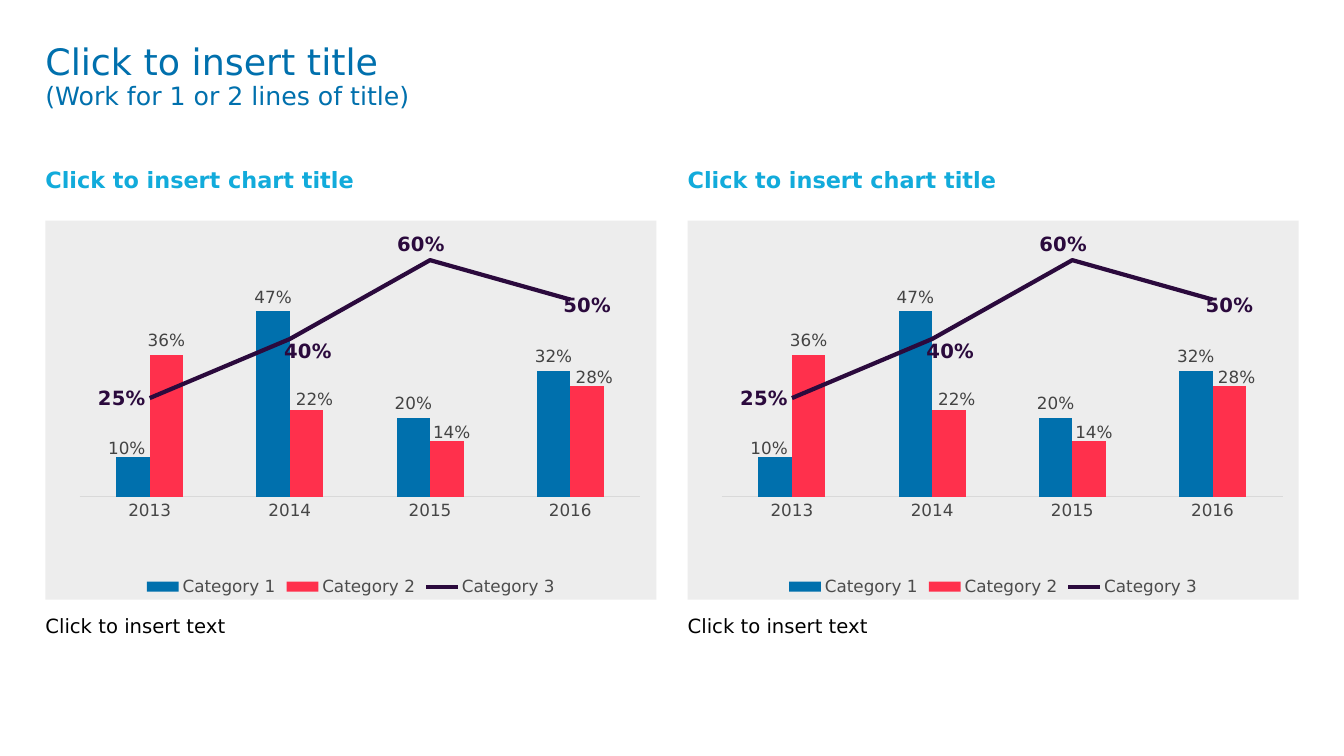
from dataclasses import dataclass

from lxml import etree
from pptx import Presentation
from pptx import util as u
from pptx.chart.data import CategoryChartData
from pptx.dml.color import RGBColor
from pptx.enum import chart as charts, shapes, text
from pptx.oxml import parse_xml
from pptx.oxml.ns import nsdecls, qn

# Content
TITLE = "Click to insert title"
SUBTITLE = "(Work for 1 or 2 lines of title)"
PANELS = [
    {"heading": "Click to insert chart title", "note": "Click to insert text"},
    {"heading": "Click to insert chart title", "note": "Click to insert text"},
]
YEARS = ["2013", "2014", "2015", "2016"]
SERIES = {
    "Category 1": (0.10, 0.47, 0.20, 0.32),
    "Category 2": (0.36, 0.22, 0.14, 0.28),
    "Category 3": (0.25, 0.40, 0.60, 0.50),
}
# Label placement: point -> (position, shift right, shift down) as shares of the chart
POSITION = charts.XL_LABEL_POSITION
OUTSIDE = POSITION.OUTSIDE_END
LABEL_SHIFTS = {
    "Category 1": {0: (OUTSIDE, -0.01, 0.015)},
    "Category 2": {1: (OUTSIDE, 0.013, 0.01), 2: (OUTSIDE, 0.008, 0.013),
                   3: (OUTSIDE, 0.012, 0.013)},
    "Category 3": {0: (POSITION.LEFT, 0, 0), 1: (POSITION.RIGHT, -0.016, 0.03),
                   2: (POSITION.ABOVE, -0.015, 0), 3: (POSITION.RIGHT, -0.018, 0.015)},
}


@dataclass(frozen=True)
class Theme:
    font: str = "DejaVu Sans"
    blue: str = "0070AD"
    red: str = "FF304C"
    purple: str = "2B0A3D"
    cyan: str = "12ABDB"
    panel: str = "EDEDED"
    axis: str = "D9D9D9"
    axis_text: str = "464646"
    legend_text: str = "4C4C4C"
    label_text: str = "434343"
    black: str = "000000"
    title_size: int = 26
    subtitle_size: int = 18
    heading_size: int = 16
    body_size: int = 14
    chart_size: int = 12


THEME = Theme()

# Grid: two columns; each row is (top, height)
SLIDE_WIDTH, SLIDE_HEIGHT = 13.33, 7.5
MARGIN, COLUMN_WIDTH, GUTTER = 0.45, 6.06, 0.31
TITLE_WIDTH = 11.97
ROWS = {"title": (0.44, 0.94), "heading": (1.56, 0.45), "panel": (2.19, 3.76),
        "chart": (2.05, 3.91), "note": (6.1, 0.96)}
PLOT_AREA = {"x": 0.056, "y": 0.036, "w": 0.918, "h": 0.7}


def cell(row, column=0, width=COLUMN_WIDTH):
    top, height = ROWS[row]
    left = MARGIN + column * (COLUMN_WIDTH + GUTTER)
    return [u.Inches(value) for value in (left, top, width, height)]


def style_font(font, size, color, bold=False):
    for name, value in {"name": THEME.font, "size": u.Pt(size), "bold": bold}.items():
        setattr(font, name, value)
    font.color.rgb = RGBColor.from_string(color)


def place(placeholder, box, anchor):
    for name, value in zip(("left", "top", "width", "height"), box):
        setattr(placeholder, name, value)
    frame = placeholder.text_frame
    settings = {"margin_left": 0, "margin_top": 0, "margin_right": 0, "margin_bottom": 0,
                "word_wrap": True, "auto_size": text.MSO_AUTO_SIZE.NONE,
                "vertical_anchor": anchor}
    for name, value in settings.items():
        setattr(frame, name, value)
    return frame.paragraphs[0]


def format_paragraph(paragraph, **settings):
    settings = {"alignment": text.PP_ALIGN.LEFT, "space_before": u.Pt(0), **settings}
    for name, value in settings.items():
        setattr(paragraph, name, value)


def fill_body(placeholder, box, anchor, words, size, color, bold, spacing, after):
    paragraph = place(placeholder, box, anchor)
    properties = paragraph._p.get_or_add_pPr()
    properties.set("marL", "0")
    properties.set("indent", "0")
    etree.SubElement(properties, qn("a:buNone"))
    format_paragraph(paragraph, line_spacing=u.Pt(spacing), space_after=u.Pt(after))
    run = paragraph.add_run()
    run.text = words
    style_font(run.font, size, color, bold)


def manual_layout(modes, values):
    parts = [f'<c:{name} val="{value}"/>' for name, value in {**modes, **values}.items()]
    return parse_xml(f'<c:layout {nsdecls("c")}><c:manualLayout>{"".join(parts)}'
                     '</c:manualLayout></c:layout>')


def move_last_series_to_line(chart):
    bars = chart.plots[0]._element
    series = bars.findall(qn("c:ser"))[-1]
    for item in series.findall(qn("c:invertIfNegative")):
        series.remove(item)
    line = parse_xml(f'<c:lineChart {nsdecls("c")}><c:grouping val="standard"/>'
                     '<c:varyColors val="0"/><c:marker val="1"/></c:lineChart>')
    line.insert(2, series)
    for axis in bars.findall(qn("c:axId")):
        etree.SubElement(line, qn("c:axId")).set("val", axis.get("val"))
    bars.addnext(line)


def label_series(series, size, color, bold, position):
    labels = series.data_labels
    for name, value in {"show_value": True, "number_format": "0%",
                        "number_format_is_linked": False, "position": position}.items():
        setattr(labels, name, value)
    style_font(labels.font, size, color, bold)
    for index, (point_position, right, down) in LABEL_SHIFTS[series.name].items():
        label = series.points[index].data_label
        style_font(label.font, size, color, bold)
        label.position = point_position
        element = labels._element.findall(qn("c:dLbl"))[-1]
        element.find(qn("c:idx")).addnext(manual_layout({}, {"x": right, "y": down}))


def add_combined_chart(slide, box):
    data = CategoryChartData(number_format="0%")
    data.categories = YEARS
    for name, values in SERIES.items():
        data.add_series(name, values)
    chart = slide.shapes.add_chart(charts.XL_CHART_TYPE.COLUMN_CLUSTERED, *box, data).chart
    chart.has_title = False
    style_font(chart.font, 10, THEME.black)
    move_last_series_to_line(chart)

    # Plot area and axes
    plot_area = chart._chartSpace.chart.plotArea
    for layout in plot_area.findall(qn("c:layout")):
        plot_area.remove(layout)
    modes = {"layoutTarget": "inner", "xMode": "edge", "yMode": "edge"}
    plot_area.insert(0, manual_layout(modes, PLOT_AREA))
    for name, value in {"visible": False, "has_major_gridlines": False,
                        "minimum_scale": 0, "maximum_scale": 0.7}.items():
        setattr(chart.value_axis, name, value)
    years = chart.category_axis
    years.major_tick_mark = charts.XL_TICK_MARK.NONE
    years.format.line.color.rgb = RGBColor.from_string(THEME.axis)
    years.format.line.width = u.Pt(0.75)
    style_font(years.tick_labels.font, THEME.chart_size, THEME.axis_text)

    # Legend
    chart.has_legend = True
    chart.legend.position = charts.XL_LEGEND_POSITION.BOTTOM
    chart.legend.include_in_layout = False
    style_font(chart.legend.font, THEME.chart_size, THEME.legend_text)

    # Columns and line
    columns, line_plot = chart.plots
    for name, value in {"gap_width": 219, "overlap": 0, "vary_by_categories": False}.items():
        setattr(columns, name, value)
    for series, color in zip(columns.series, (THEME.blue, THEME.red)):
        series.format.fill.solid()
        series.format.fill.fore_color.rgb = RGBColor.from_string(color)
        label_series(series, THEME.chart_size, THEME.label_text, False, OUTSIDE)
    line = line_plot.series[0]
    line.smooth = False
    line.marker.style = charts.XL_MARKER_STYLE.NONE
    line.format.line.color.rgb = RGBColor.from_string(THEME.purple)
    line.format.line.width = u.Pt(3)
    label_series(line, THEME.body_size, THEME.purple, True, POSITION.RIGHT)


def main():
    presentation = Presentation()
    presentation.slide_width = u.Inches(SLIDE_WIDTH)
    presentation.slide_height = u.Inches(SLIDE_HEIGHT)
    slide = presentation.slides.add_slide(presentation.slide_layouts.get_by_name("Comparison"))
    holders = {holder.placeholder_format.idx: holder for holder in slide.placeholders}

    # Title
    paragraph = place(holders[0], cell("title", width=TITLE_WIDTH), text.MSO_ANCHOR.TOP)
    format_paragraph(paragraph, line_spacing=0.9)
    for words, size in ((TITLE, THEME.title_size), (SUBTITLE, THEME.subtitle_size)):
        if paragraph.runs:
            paragraph.add_line_break()
        run = paragraph.add_run()
        run.text = words
        style_font(run.font, size, THEME.blue)

    # Panels: heading, grey background, chart, note
    for column, panel in enumerate(PANELS):
        heading, note = holders[1 + 2 * column], holders[2 + 2 * column]
        fill_body(heading, cell("heading", column), text.MSO_ANCHOR.MIDDLE, panel["heading"],
                  THEME.heading_size, THEME.cyan, True, 18, 6)
        fill_body(note, cell("note", column), text.MSO_ANCHOR.TOP, panel["note"],
                  THEME.body_size, THEME.black, False, 16, 0)
        shape = slide.shapes.add_shape(shapes.MSO_SHAPE.RECTANGLE, *cell("panel", column))
        shape.shadow.inherit = False
        shape.fill.solid()
        shape.fill.fore_color.rgb = RGBColor.from_string(THEME.panel)
        shape.line.fill.background()
        add_combined_chart(slide, cell("chart", column))
    presentation.save("out.pptx")


if __name__ == "__main__":
    main()
